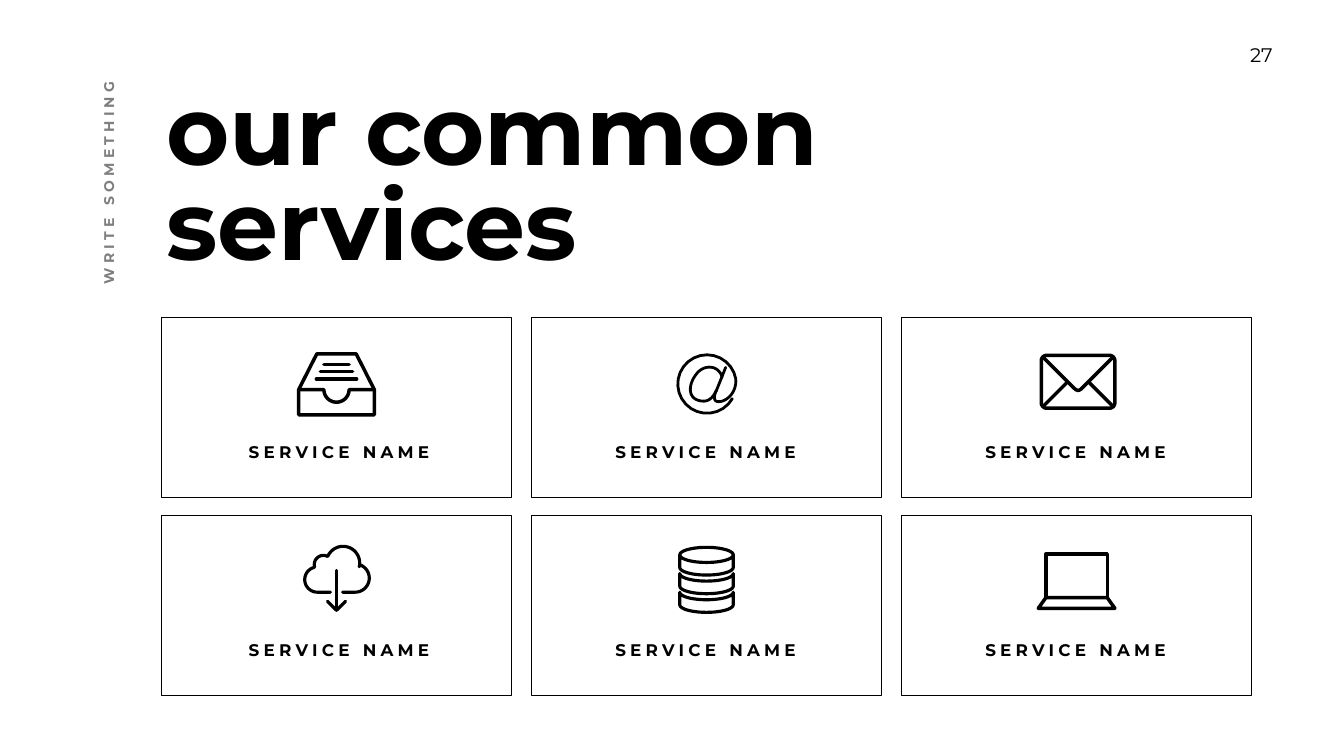
from math import cos, radians, sin

from lxml import etree
from pptx import Presentation
from pptx.dml.color import RGBColor
from pptx.enum.shapes import MSO_SHAPE
from pptx.enum.text import MSO_ANCHOR, MSO_AUTO_SIZE, PP_ALIGN
from pptx.oxml.ns import qn
from pptx.util import Inches, Pt

FONT = "Montserrat"
BLACK, GRAY = "000000", "7F7F7F"
CARD_W, CARD_H = 6.95, 3.58


def color(hex_code):
    return RGBColor.from_string(hex_code)


def arc(cx, cy, rx, ry, start, end):
    """Points on an ellipse; angles in degrees, clockwise from the right."""
    angles = [radians(start + (end - start) * i / 24) for i in range(25)]
    return [(cx + rx * cos(a), cy + ry * sin(a)) for a in angles]


def curve(a, b, c, d):
    """Points on a cubic Bezier curve."""
    def blend(t, p, q, r, s):
        u = 1 - t
        return u**3 * p + 3 * u * u * t * q + 3 * u * t * t * r + t**3 * s
    return [tuple(blend(i / 16, *axis) for axis in zip(a, b, c, d))
            for i in range(17)]


def closed(points):
    return points + points[:1]


# Icon strokes: x from the card's centre line, y from the card's top edge.
def inbox_strokes():
    tray = [(-.39, .73), (.39, .73), (.75, 1.44), (.75, 1.94),
            (-.75, 1.94), (-.75, 1.44)]
    slot = [(-.75, 1.44), *arc(0, 1.44, .25, .25, 180, 0), (.75, 1.44)]
    letter = [[(-half, y), (half, y)]
              for half, y in ((.25, .94), (.32, 1.08), (.4, 1.23))]
    return [closed(tray), slot, *letter]


def at_strokes():
    ring = arc(.01, 1.33, .58, .58, 30, 350)
    tail = (curve(ring[-1], (.6, 1.5), (.4, 1.68), (.24, 1.68))
            + curve((.24, 1.68), (.1, 1.68), (.17, 1.5), (.2, 1.45))
            + [(.38, 1)])
    bowl = (curve((.31, 1.2), (.25, .95), (-.05, .93), (-.2, 1.13))
            + curve((-.2, 1.13), (-.38, 1.36), (-.38, 1.66), (-.06, 1.67))
            + curve((-.06, 1.67), (.06, 1.67), (.14, 1.58), (.2, 1.45)))
    return [ring + tail, bowl]


def envelope_strokes():
    corners = ((-.59, .87, 180), (.65, .87, 270), (.65, 1.7, 0), (-.59, 1.7, 90))
    border = [point for x, y, start in corners
              for point in arc(x, y, .11, .11, start, start + 90)]
    flap = [(-.67, .79), *curve((-.05, 1.41), (.01, 1.47), (.05, 1.47), (.11, 1.41)),
            (.73, .79)]
    return [closed(border), flap,
            [(-.67, 1.78), (-.2, 1.31)], [(.73, 1.78), (.26, 1.31)]]


def cloud_strokes():
    cloud = [(-.12, 1.53),
             *arc(-.38, 1.28, .25, .25, 90, 253),
             *arc(-.26, .98, .18, .18, 165, 298),
             *arc(.13, .95, .33, .33, 212, 373),
             *arc(.37, 1.25, .28, .28, 290, 450),
             (.12, 1.53)]
    return [cloud, [(0, 1.1), (0, 1.89)], [(-.18, 1.71), (0, 1.89), (.18, 1.71)]]


def database_strokes():
    rx, ry = .53, .15
    strokes = [arc(0, .79, rx, ry, 180, 360)]
    for tier in range(3):
        y = .79 + .37 * tier
        strokes.append(closed(arc(0, y, rx, ry, 0, 180)
                              + arc(0, y + .25, rx, ry, 180, 0)))
    return strokes


def laptop_strokes():
    screen = [(-.61, .77), (.61, .77), (.61, 1.64), (-.61, 1.64)]
    base = [(-.61, 1.64), (-.76, 1.85), (.76, 1.85), (.61, 1.64)]
    return [closed(screen), closed(base)]


def add_icon(slide, center, top, strokes, weight):
    def place(points):
        return [(Inches(center + x), Inches(top + y)) for x, y in points]

    first, *others = map(place, strokes)
    builder = slide.shapes.build_freeform(*first[0], scale=1.0)
    builder.add_line_segments(first[1:], close=False)
    for stroke in others:
        builder.move_to(*stroke[0])
        builder.add_line_segments(stroke[1:], close=False)
    icon = builder.convert_to_shape()
    icon.shadow.inherit = False
    icon.fill.background()
    icon.line.color.rgb = color(BLACK)
    icon.line.width = Pt(weight)
    outline = icon.line._get_or_add_ln()
    outline.set("cap", "rnd")
    etree.SubElement(outline, qn("a:round"))


def format_text(frame, size, hex_code=BLACK, bold=True, spacing=0,
                align=PP_ALIGN.LEFT):
    for paragraph in frame.paragraphs:
        paragraph.alignment = align
        for run in paragraph.runs:
            run.font.name = FONT
            run.font.size = Pt(size)
            run.font.bold = bold
            run.font.color.rgb = color(hex_code)
            if spacing:
                run._r.get_or_add_rPr().set("spc", str(spacing * 100))


def add_text(slide, box, text, size, wrap=True, **style):
    textbox = slide.shapes.add_textbox(*map(Inches, box))
    frame = textbox.text_frame
    frame.word_wrap = wrap
    frame.text = text
    format_text(frame, size, **style)
    return textbox


def add_heading(slide, box):
    title = slide.shapes.title
    title.left, title.top, title.width, title.height = map(Inches, box)
    frame = title.text_frame
    frame.text = "our common\nservices"
    frame.word_wrap = True
    frame.auto_size = MSO_AUTO_SIZE.NONE
    frame.vertical_anchor = MSO_ANCHOR.TOP
    format_text(frame, 138)
    for paragraph in frame.paragraphs:
        paragraph.line_spacing = Pt(135.6)
        paragraph.space_before = Pt(0)


def add_page_number(slide, box):
    number = add_text(slide, box, "27", 28, wrap=False, bold=False,
                      align=PP_ALIGN.CENTER)
    frame = number.text_frame
    frame.margin_left, frame.margin_right = Inches(.2), Inches(.42)
    frame.margin_top = frame.margin_bottom = Inches(.1)


def add_service_card(slide, left, top, label_left, strokes, weight):
    card = slide.shapes.add_shape(MSO_SHAPE.RECTANGLE, *map(
        Inches, (left, top, CARD_W, CARD_H)))
    card.shadow.inherit = False
    card.fill.background()
    card.line.color.rgb = color(BLACK)
    card.line.width = Pt(1)
    add_icon(slide, left + CARD_W / 2, top, strokes, weight)
    add_text(slide, (label_left, top + 2.43, 3.85, .5), "SERVICE NAME", 24,
             wrap=False, spacing=6, align=PP_ALIGN.CENTER)


def add_service_grid(slide, left, top):
    services = [(inbox_strokes, 5), (at_strokes, 4), (envelope_strokes, 5),
                (cloud_strokes, 4.5), (database_strokes, 4.5), (laptop_strokes, 5)]
    label_insets = (1.6, 1.53, 1.53)
    for index, (strokes, weight) in enumerate(services):
        row, column = divmod(index, 3)
        card_left = left + column * (CARD_W + .39)
        add_service_card(slide, card_left, top + row * (CARD_H + .35),
                         card_left + label_insets[column], strokes(), weight)


def main():
    presentation = Presentation()
    presentation.slide_width = Inches(26.66)
    presentation.slide_height = Inches(15)
    slide = presentation.slides.add_slide(presentation.slide_layouts[5])
    add_page_number(slide, (24.57, .76, 1.12, .67))
    add_heading(slide, (3.2, 1.73, 21.63, 3.92))
    side_note = add_text(slide, (-1.23, 2.13, 6.77, .44), "WRITE SOMETHING", 20,
                         hex_code=GRAY, spacing=6)
    side_note.rotation = 270
    add_service_grid(slide, 3.2, 6.29)
    presentation.save("out.pptx")


if __name__ == "__main__":
    main()
